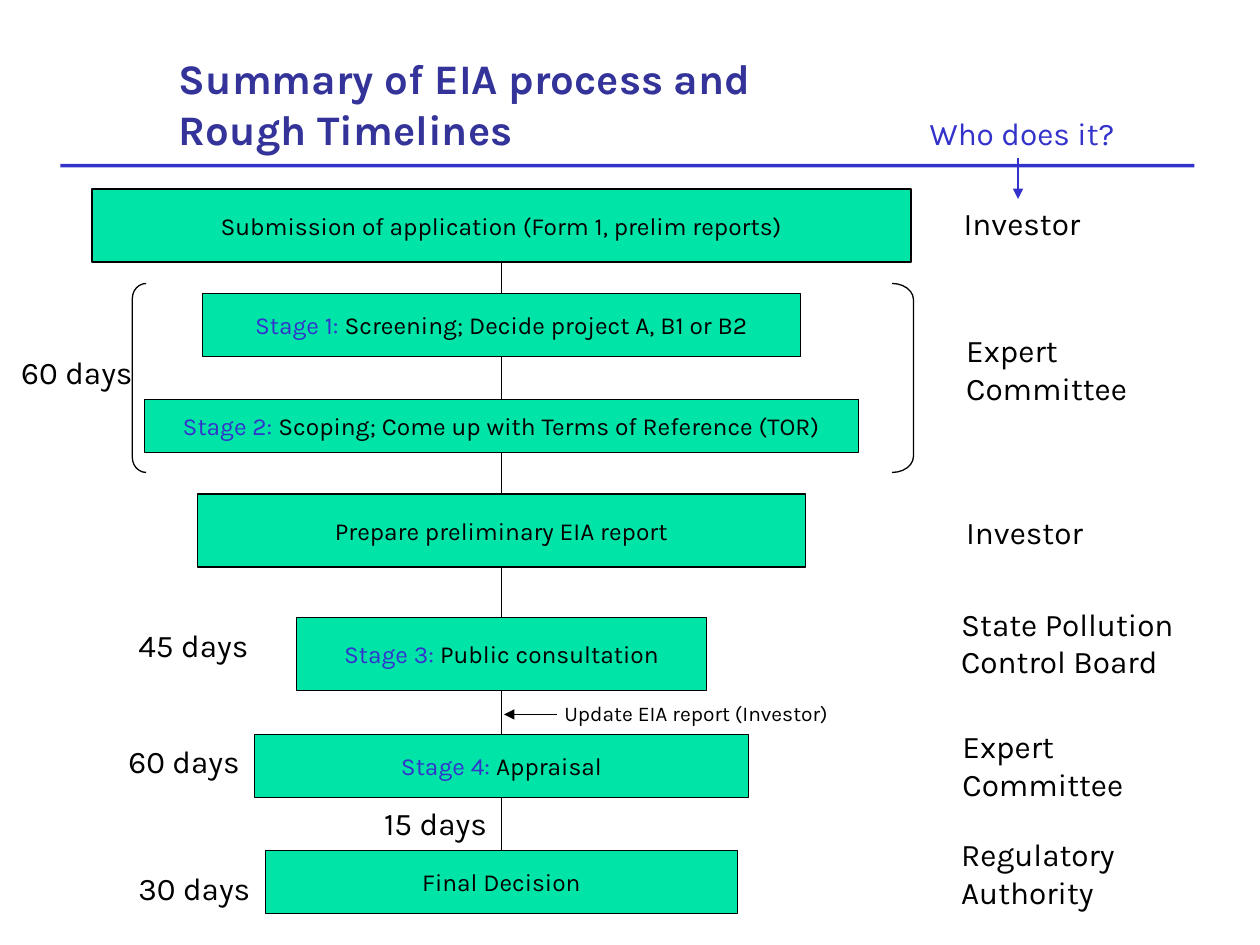
from lxml import etree
from pptx import Presentation
from pptx.dml.color import RGBColor
from pptx.enum.shapes import MSO_CONNECTOR, MSO_SHAPE
from pptx.enum.text import MSO_ANCHOR, MSO_AUTO_SIZE, PP_ALIGN
from pptx.oxml.ns import qn
from pptx.util import Inches, Pt

FONT = "Karla"
BLACK, BLUE, NAVY, GREEN = "000000", "3333CC", "333399", "00E4A8"
CENTER = 3.98  # axis of the flow chart

TITLE = "Summary of EIA process and Rough Timelines"

# Steps: stage label, text, top, width, height
STEPS = [
    ("", "Submission of application (Form 1, prelim reports)", 1.5, 6.5, 0.58),
    ("Stage 1:", " Screening; Decide project A, B1 or B2", 2.33, 4.75, 0.5),
    ("Stage 2:", " Scoping; Come up with Terms of Reference (TOR)", 3.17, 5.67, 0.42),
    ("", "Prepare preliminary EIA report", 3.92, 4.82, 0.58),
    ("Stage 3:", " Public consultation", 4.9, 3.25, 0.58),
    ("Stage 4:", " Appraisal", 5.83, 3.92, 0.5),
    ("", "Final Decision", 6.75, 3.75, 0.5),
]

# Labels: text, left, top, width, height, size, colour
LABELS = [
    ("60 days", 0.07, 2.75, 1.33, 0.4, 18, BLACK),
    ("45 days", 1, 4.92, 1.25, 0.4, 18, BLACK),
    ("60 days", 0.92, 5.84, 1.33, 0.4, 18, BLACK),
    ("15 days", 2.95, 6.33, 1.33, 0.4, 18, BLACK),
    ("30 days", 1, 6.85, 1.25, 0.4, 18, BLACK),
    ("Investor", 7.55, 1.57, 1.5, 0.4, 18, BLACK),
    ("Expert Committee", 7.57, 2.58, 1.75, 0.7, 18, BLACK),
    ("Investor", 7.57, 4.02, 1.5, 0.4, 18, BLACK),
    ("State Pollution Control Board", 7.53, 4.75, 2.08, 0.7, 18, BLACK),
    ("Expert Committee", 7.54, 5.72, 1.75, 0.7, 18, BLACK),
    ("Regulatory Authority", 7.53, 6.58, 1.75, 0.7, 18, BLACK),
    ("Who does it?", 7.28, 0.86, 2, 0.4, 18, BLUE),
    ("Update EIA report (Investor)", 4.38, 5.51, 2.42, 0.3, 12, BLACK),
]

# Brackets: shape, left, width, corner adjustment
BRACKETS = [
    (MSO_SHAPE.LEFT_BRACKET, 1.05, 0.11, 1.09),
    (MSO_SHAPE.RIGHT_BRACKET, 7.08, 0.17, 0.75),
]

# Arrows: start x, start y, end x, end y, colour
ARROWS = [
    (8.08, 1.25, 8.08, 1.58, BLUE),
    (4.42, 5.67, 4, 5.67, BLACK),
]


def color(value):
    return RGBColor.from_string(value)


def set_font(font, size, value, bold=False):
    font.name, font.size, font.bold = FONT, Pt(size), bold
    font.color.rgb = color(value)


def add_shape(kind, left, top, width, height, fill=None, line=None):
    shape = slide.shapes.add_shape(
        kind, Inches(left), Inches(top), Inches(width), Inches(height))
    shape.shadow.inherit = False
    if fill:
        shape.fill.solid()
        shape.fill.fore_color.rgb = color(fill)
    else:
        shape.fill.background()
    if line:
        shape.line.color.rgb = color(line)
        shape.line.width = Pt(0.75)
    else:
        shape.line.fill.background()
    return shape


def add_line(x1, y1, x2, y2, value, arrow=False):
    line = slide.shapes.add_connector(
        MSO_CONNECTOR.STRAIGHT, Inches(x1), Inches(y1), Inches(x2), Inches(y2))
    line.line.color.rgb = color(value)
    line.line.width = Pt(0.75)
    if arrow:
        etree.SubElement(line.line._get_or_add_ln(), qn("a:tailEnd"), type="triangle")
    etree.SubElement(line._element.spPr, qn("a:effectLst"))


def add_step(stage, text, top, width, height):
    shape = add_shape(MSO_SHAPE.FLOWCHART_PROCESS, CENTER - width / 2, top,
                      width, height, GREEN, BLACK)
    frame = shape.text_frame
    frame.word_wrap = False
    frame.vertical_anchor = MSO_ANCHOR.MIDDLE
    paragraph = frame.paragraphs[0]
    paragraph.alignment = PP_ALIGN.CENTER
    set_font(paragraph.font, 14, BLACK)
    if stage:
        run = paragraph.add_run()
        run.text = stage
        run.font.color.rgb = color(BLUE)
    paragraph.add_run().text = text


def add_label(text, left, top, width, height, size, value):
    box = slide.shapes.add_textbox(
        Inches(left), Inches(top), Inches(width), Inches(height))
    frame = box.text_frame
    frame.word_wrap = True
    frame.auto_size = MSO_AUTO_SIZE.SHAPE_TO_FIT_TEXT
    frame.text = text
    set_font(frame.paragraphs[0].font, size, value)


presentation = Presentation()
presentation.slide_width, presentation.slide_height = Inches(10), Inches(7.5)
slide = presentation.slides.add_slide(presentation.slide_layouts[5])

# Title and rule
add_shape(MSO_SHAPE.RECTANGLE, 0.48, 1.3, 9, 0.03, BLUE)
title = slide.shapes.title
title.left, title.top = Inches(1.32), Inches(0.33)
title.width, title.height = Inches(4.77), Inches(0.94)
title.text_frame.text = TITLE
title.text_frame.auto_size = MSO_AUTO_SIZE.NONE
title.text_frame.vertical_anchor = MSO_ANCHOR.BOTTOM
title.text_frame.paragraphs[0].alignment = PP_ALIGN.LEFT
set_font(title.text_frame.paragraphs[0].font, 24, NAVY, bold=True)

# Steps, each joined to the next
for step in STEPS:
    add_step(*step)
for (_, _, top, _, height), (_, _, next_top, _, _) in zip(STEPS, STEPS[1:]):
    add_line(CENTER, top + height, CENTER, next_top, BLACK)

# Brackets around stages 1 and 2
for kind, left, width, adjustment in BRACKETS:
    bracket = add_shape(kind, left, 2.25, width, 1.5, line=BLACK)
    bracket.adjustments[0] = adjustment

# Durations, responsible bodies and arrows
for label in LABELS:
    add_label(*label)
for arrow in ARROWS:
    add_line(*arrow, arrow=True)

presentation.save("out.pptx")
